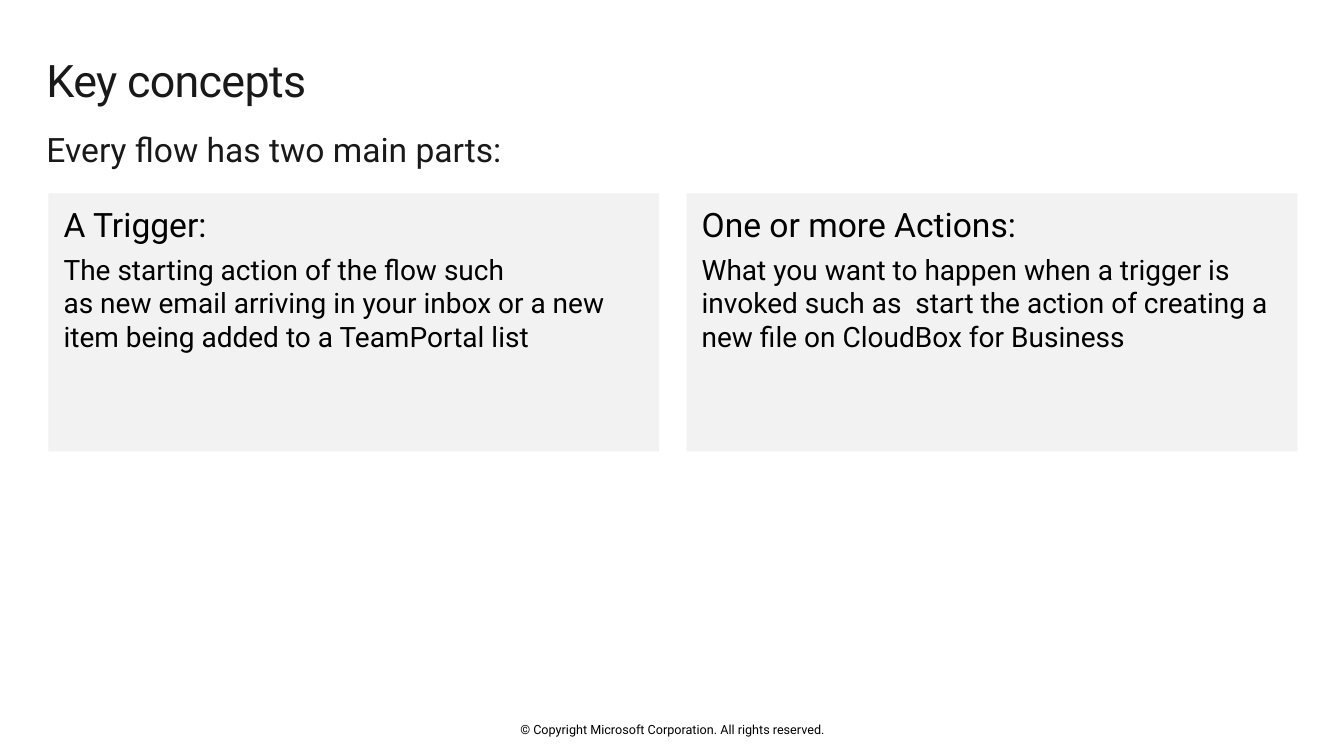
from dataclasses import dataclass

from pptx import Presentation
from pptx.dml.color import RGBColor
from pptx.enum.text import MSO_ANCHOR, MSO_AUTO_SIZE, PP_ALIGN
from pptx.oxml.ns import qn
from pptx.util import Pt


@dataclass(frozen=True)
class Theme:
    font: str = "Roboto"
    ink: str = "191919"
    black: str = "000000"
    panel: str = "F2F2F2"
    title: int = 32
    head: int = 24
    text: int = 20
    note: int = 9


class Deck:
    def __init__(self, theme):
        self.theme = theme
        self.prs = Presentation()
        self.prs.slide_width, self.prs.slide_height = Pt(960), Pt(540)
        self.slide = self.prs.slides.add_slide(self.prs.slide_layouts[4])

    def place(self, shape, box, pad=(0, 0, 0, 0), anchor=MSO_ANCHOR.TOP):
        shape.left, shape.top, shape.width, shape.height = map(Pt, box)
        frame = shape.text_frame
        frame.word_wrap = True
        frame.auto_size = MSO_AUTO_SIZE.NONE
        frame.vertical_anchor = anchor
        (frame.margin_left, frame.margin_top,
         frame.margin_right, frame.margin_bottom) = map(Pt, pad)
        return frame

    def fill_in(self, para, text, size, color, align=PP_ALIGN.LEFT, after=0):
        para.text = text
        para.alignment = align
        para.space_before, para.space_after = Pt(0), Pt(after)
        props = para._p.get_or_add_pPr()
        props.set("marL", "0")
        props.set("indent", "0")
        props.append(props.makeelement(qn("a:buNone"), {}))
        for run in para.runs:
            font = run.font
            font.name, font.size, font.bold = self.theme.font, Pt(size), False
            font.color.rgb = RGBColor.from_string(color)

    def title(self, text, box):
        frame = self.place(self.slide.shapes.title, box, (0, 7.2, 11.5, 7.2))
        para = frame.paragraphs[0]
        self.fill_in(para, text, self.theme.title, self.theme.ink)
        para.line_spacing = 0.9
        para.runs[0]._r.get_or_add_rPr().set("spc", "-50")

    def lead(self, slot, text, box):
        frame = self.place(self.slide.placeholders[slot], box)
        self.fill_in(frame.paragraphs[0], text, self.theme.head,
                     self.theme.ink)

    def card(self, slot, head, text, box):
        shape = self.slide.placeholders[slot]
        frame = self.place(shape, box, (10.8, 7.2, 11.5, 7.2))
        shape.fill.solid()
        shape.fill.fore_color.rgb = RGBColor.from_string(self.theme.panel)
        self.fill_in(frame.paragraphs[0], head, self.theme.head,
                     self.theme.black, after=5.9)
        self.fill_in(frame.add_paragraph(), text, self.theme.text,
                     self.theme.black)

    def note(self, text, box):
        shape = self.slide.shapes.add_textbox(*map(Pt, box))
        frame = self.place(shape, box, anchor=MSO_ANCHOR.MIDDLE)
        self.fill_in(frame.paragraphs[0], text, self.theme.note,
                     self.theme.black, PP_ALIGN.CENTER)

    def drop(self, slot):
        item = self.slide.placeholders[slot]._element
        item.getparent().remove(item)


CARDS = [
    (2, "A Trigger:",
     "The starting action of the flow such\n"
     "as new email arriving in your inbox or a new item being added "
     "to a TeamPortal list"),
    (4, "One or more Actions:",
     "What you want to happen when a trigger is invoked such as  start "
     "the action of creating a new file on CloudBox for Business"),
]


def main():
    deck = Deck(Theme())

    # Heading and lead line
    deck.title("Key concepts", (33.2, 34.6, 893, 53.3))
    deck.lead(1, "Every flow has two main parts:", (33.2, 92.2, 894, 28.8))

    # Two equal cards
    left, step = 34.6, 455.8
    for col, (slot, head, text) in enumerate(CARDS):
        deck.card(slot, head, text, (left + col * step, 138.2, 436.3, 184.3))
    deck.drop(3)

    # Copyright line
    deck.note("© Copyright Microsoft Corporation. All rights reserved.",
              (318.2, 515.5, 324, 10.8))

    deck.prs.save("out.pptx")


if __name__ == "__main__":
    main()
